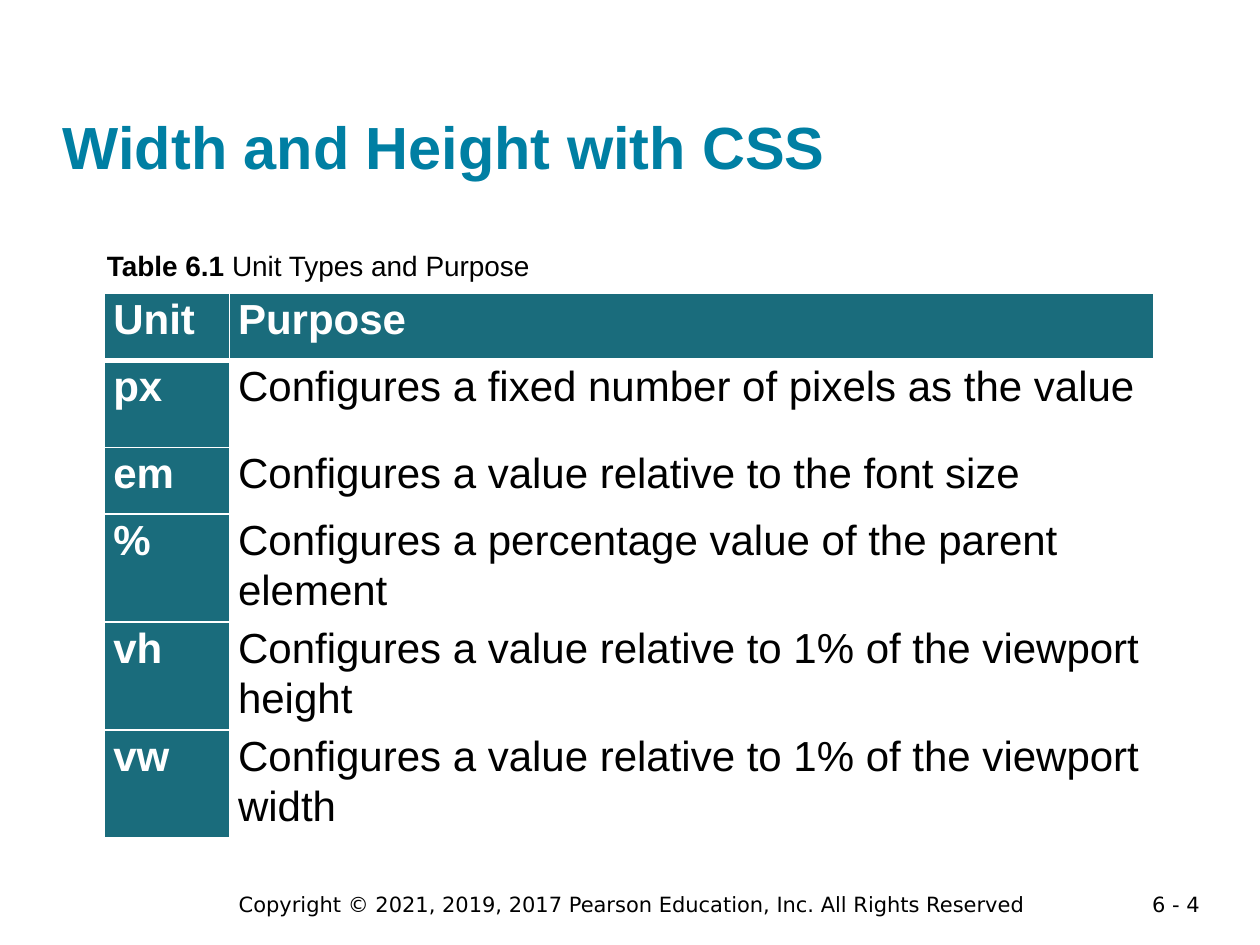
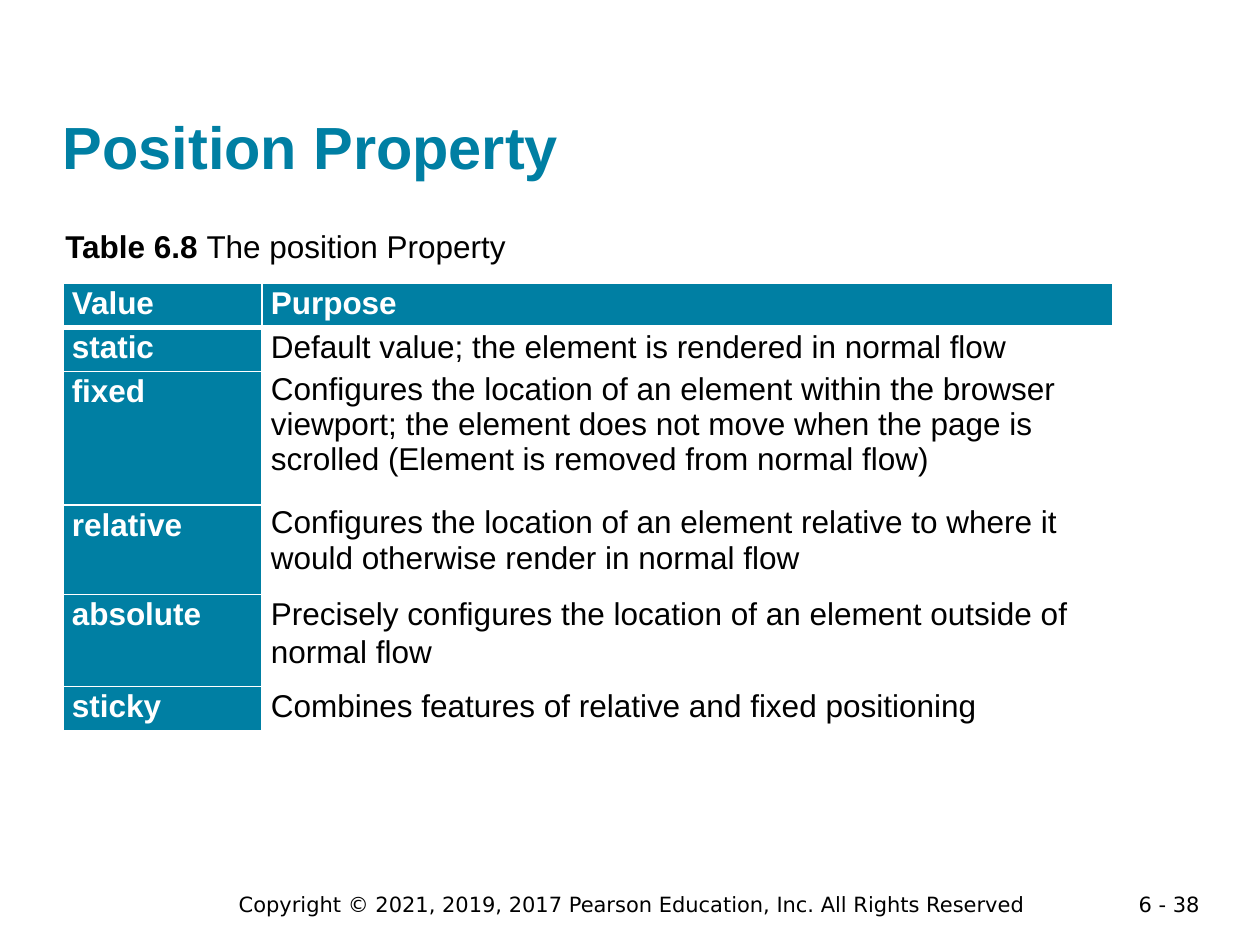
from lxml import etree
from pptx import Presentation
from pptx import util as u
from pptx.dml.color import RGBColor
from pptx.enum import text as t
from pptx.oxml import ns

PX = 9144  # 100 px to the inch
BLUE, TEAL, WHITE, BLACK = "007FA3", "1A6C7C", "FFFFFF", "000000"
COPYRIGHT = "Copyright © 2021, 2019, 2017 Pearson Education, Inc. All Rights Reserved"


def px(length):
    return u.Emu(length * PX)


def colour(hex_string):
    return RGBColor.from_string(hex_string)


def write(paragraph, words, font="Arial", size=18, color=BLACK, bold=False,
          align=None, spacing=None):
    """Add one run to a paragraph; alignment and spacing go to the paragraph."""
    run = paragraph.add_run()
    run.text = words
    run.font.name, run.font.size, run.font.bold = font, u.Pt(size), bold
    run.font.color.rgb = colour(color)
    if align is not None:
        paragraph.alignment = align
    if spacing is not None:
        paragraph.line_spacing = spacing


def border(cell, **widths):
    """Draw white cell borders; keywords L, R, T and B override 1 pt."""
    for side in "LRTB":
        line = etree.SubElement(cell._tc.get_or_add_tcPr(), ns.qn(f"a:ln{side}"),
                                w=str(u.Pt(widths.get(side, 1))))
        fill = etree.SubElement(line, ns.qn("a:solidFill"))
        etree.SubElement(fill, ns.qn("a:srgbClr"), val=WHITE)


class Deck:
    def __init__(self):
        self.show = Presentation()
        self.show.slide_width, self.show.slide_height = px(1000), px(750)
        self.slide = None

    def start_slide(self, title, number):
        self.slide = self.show.slides.add_slide(self.show.slide_layouts[6])
        footer = dict(font="DejaVu Sans", size=12)
        write(self.box(862, 703, 100, 22).paragraphs[0], number,
              align=t.PP_ALIGN.RIGHT, **footer)
        write(self.box(164, 703, 675, 30).paragraphs[0], COPYRIGHT,
              align=t.PP_ALIGN.CENTER, **footer)
        heading = self.box(50, 24, 900, 120, inset=0)
        heading.vertical_anchor = t.MSO_ANCHOR.BOTTOM
        write(heading.paragraphs[0], title, size=34, color=BLUE, bold=True)

    def box(self, left, top, width, height, inset=None, wrap=True):
        frame = self.slide.shapes.add_textbox(
            px(left), px(top), px(width), px(height)).text_frame
        frame.word_wrap = wrap
        if inset is not None:
            frame.margin_left = frame.margin_right = px(inset)
            frame.margin_top = frame.margin_bottom = px(inset)
        return frame

    def caption(self, label, words, left, top, width, height, size, wrap=True):
        paragraph = self.box(left, top, width, height, wrap=wrap).paragraphs[0]
        write(paragraph, label, size=size, bold=True)
        write(paragraph, words, size=size)

    def table(self, rows, left, top, widths, heights, size, accent, single=()):
        """Place a table with accent header row and column.

        Descriptions in the rows listed in single keep single line spacing.
        """
        grid = self.slide.shapes.add_table(
            len(rows), len(widths), px(left), px(top),
            px(sum(widths)), px(sum(heights))).table
        grid.horz_banding = False
        for column, width in zip(grid.columns, widths):
            column.width = px(width)
        for r, (row, height) in enumerate(zip(rows, heights)):
            grid.rows[r].height = px(height)
            for c, words in enumerate(row):
                cell = grid.cell(r, c)
                heading = r == 0 or c == 0
                border(cell, T=3 if r == 1 else 1, B=3 if r == 0 else 1)
                cell.fill.solid()
                cell.fill.fore_color.rgb = colour(accent if heading else WHITE)
                cell.margin_left = cell.margin_right = px(7)
                cell.margin_top = cell.margin_bottom = 0
                write(cell.text_frame.paragraphs[0], words, size=size,
                      color=WHITE if heading else BLACK, bold=heading,
                      spacing=1.0 if c and r in single else 1.07)


UNITS = [
    ("Unit", "Purpose"),
    ("px", "Configures a fixed number of pixels as the value"),
    ("em", "Configures a value relative to the font size"),
    ("%", "Configures a percentage value of the parent element"),
    ("vh", "Configures a value relative to 1% of the viewport height"),
    ("vw", "Configures a value relative to 1% of the viewport width"),
]
POSITIONS = [
    ("Value", "Purpose"),
    ("static", "Default value; the element is rendered in normal flow"),
    ("fixed", "Configures the location of an element within the browser viewport; "
              "the element does not move when the page is scrolled "
              "(Element is removed from normal flow)"),
    ("relative", "Configures the location of an element relative to where it would "
                 "otherwise render in normal flow"),
    ("absolute", "Precisely configures the location of an element outside of normal flow"),
    ("sticky", "Combines features of relative and fixed positioning"),
]


def main():
    deck = Deck()

    deck.start_slide("Width and Height with CSS", "6 - 4")
    deck.caption("Table 6.1", " Unit Types and Purpose", 75, 192, 356, 37,
                 size=16, wrap=False)
    deck.table(UNITS, 83, 233, widths=(99, 734), heights=(53, 69, 53, 69, 85, 85),
               size=24, accent=TEAL)

    deck.start_slide("Position Property", "6 - 38")
    deck.caption("Table 6.8 ", "The position Property", 42, 175, 400, 40, size=18)
    deck.table(POSITIONS, 50, 225, widths=(158, 675),
               heights=(35, 35, 106, 71, 73, 35), size=18, accent=BLUE, single=(2, 3))

    deck.show.save("out.pptx")


if __name__ == "__main__":
    main()
